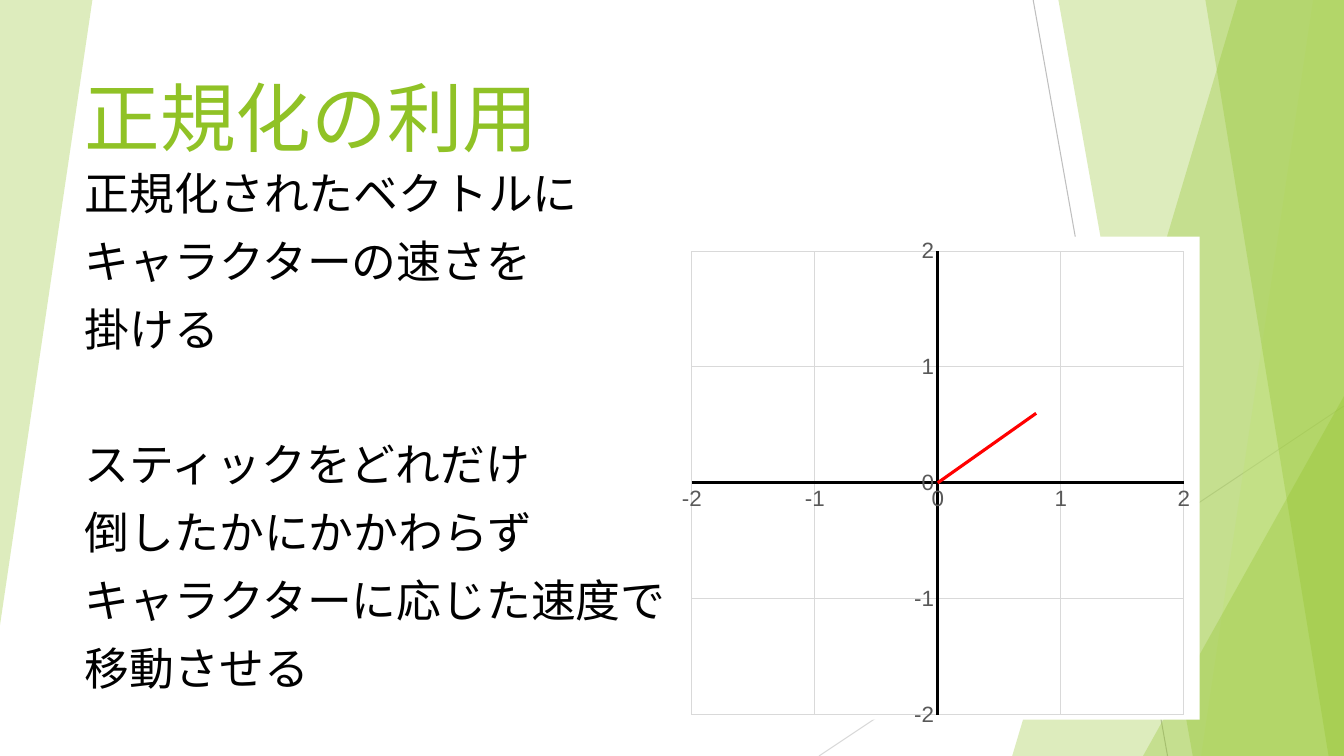
from lxml.etree import SubElement
from pptx import Presentation
from pptx.chart.data import XyChartData
from pptx.dml.color import RGBColor
from pptx.enum.chart import XL_CHART_TYPE, XL_MARKER_STYLE, XL_TICK_MARK
from pptx.enum.shapes import MSO_CONNECTOR, MSO_SHAPE
from pptx.oxml import parse_xml
from pptx.oxml.ns import nsdecls, qn
from pptx.util import Pt

FONT = "Arial"
WIDE, HIGH = 960, 540
HEX = {
    "green": "90C226", "lime": "C0E474", "black": "000000", "white": "FFFFFF",
    "gray": "595959", "grid": "D9D9D9", "rule": "BFBFBF", "red": "FF0000",
}
PANES = [
    ("green", [(884, 0), (WIDE, 0), (WIDE, HIGH), (723, HIGH)]),
    ("green", [(756, 0), (WIDE, 0), (WIDE, HIGH), (852, HIGH)]),
    ("lime", [(938, 0), (WIDE, 0), (WIDE, HIGH), (858, HIGH)]),
    ("green", [(861, 0), (WIDE, 0), (WIDE, HIGH), (949, HIGH)]),
]
BODY = [
    ["正規化されたベクトルに", "キャラクターの速さを", "掛ける"],
    ["スティックをどれだけ", "倒したかにかかわらず", "キャラクターに応じた速度で", "移動させる"],
]


def rgb(name):
    return RGBColor.from_string(HEX[name])


def add_text(slide, box, groups, size, color, gap=0, pitch=None, skip=0):
    frame = slide.shapes.add_textbox(*map(Pt, box)).text_frame
    frame.word_wrap = True
    para = frame.paragraphs[0]
    for i, group in enumerate(groups):
        for j, line in enumerate(group):
            if i or j:
                para = frame.add_paragraph()
                para.space_before = Pt(gap if j else skip)
            if pitch:
                para.line_spacing = Pt(pitch)
            run = para.add_run()
            run.text = line
            run.font.size = Pt(size)
            run.font.name = FONT
            run.font.color.rgb = rgb(color)


def add_line(slide, start, end, color):
    line = slide.shapes.add_connector(MSO_CONNECTOR.STRAIGHT, *map(Pt, start + end))
    line.line.color.rgb = rgb(color)
    line.line.width = Pt(0.75)
    SubElement(line._element.spPr, qn("a:effectLst"))


def tint(shape, color):
    shape.shadow.inherit = False
    shape.fill.solid()
    shape.fill.fore_color.rgb = rgb(color)
    shape.line.fill.background()
    tone = shape._element.spPr.find(qn("a:solidFill"))[0]
    SubElement(tone, qn("a:alpha"), val="30000")


def add_pane(slide, color, points):
    spots = [(Pt(x), Pt(y)) for x, y in points]
    build = slide.shapes.build_freeform(*spots[0])
    build.add_line_segments(spots[1:], close=True)
    tint(build.convert_to_shape(), color)


def add_wedge(slide, box, turn=0):
    wedge = slide.shapes.add_shape(MSO_SHAPE.ISOSCELES_TRIANGLE, *map(Pt, box))
    wedge.adjustments[0] = 1
    wedge.rotation = turn
    tint(wedge, "green")


def style_axis(axis):
    axis.minimum_scale, axis.maximum_scale, axis.major_unit = -2, 2, 1
    axis.major_tick_mark = axis.minor_tick_mark = XL_TICK_MARK.NONE
    axis.has_major_gridlines = True
    axis.major_gridlines.format.line.color.rgb = rgb("grid")
    axis.major_gridlines.format.line.width = Pt(0.75)
    axis.format.line.color.rgb = rgb("black")
    axis.format.line.width = Pt(2)
    font = axis.tick_labels.font
    font.size, font.name = Pt(16), FONT
    font.color.rgb = rgb("gray")
    axis.tick_labels.number_format = "General"
    axis.tick_labels.number_format_is_linked = False


def set_plot(chart, **sides):
    area = chart._chartSpace.chart.plotArea
    for old in area.findall(qn("c:layout")):
        area.remove(old)
    parts = "".join(f'<c:{key} val="{val}"/>' for key, val in sides.items())
    area.insert(0, parse_xml(
        f'<c:layout {nsdecls("c")}><c:manualLayout><c:layoutTarget val="inner"/>'
        f'<c:xMode val="edge"/><c:yMode val="edge"/>{parts}</c:manualLayout></c:layout>'))


def add_graph(slide, box):
    data = XyChartData()
    row = data.add_series("Series 1")
    for x, y in [(0, 0), (0.4, 0.3), (0.8, 0.6)]:
        row.add_data_point(x, y)
    chart = slide.shapes.add_chart(
        XL_CHART_TYPE.XY_SCATTER_LINES, *map(Pt, box), data).chart
    chart.has_legend = chart.has_title = False
    chart.font.size, chart.font.name = Pt(10), FONT
    chart.font.color.rgb = rgb("black")
    chart._chartSpace.find(qn("c:txPr")).addprevious(parse_xml(
        f'<c:spPr {nsdecls("c", "a")}><a:solidFill><a:srgbClr val="{HEX["white"]}"/>'
        '</a:solidFill><a:ln><a:noFill/></a:ln></c:spPr>'))
    set_plot(chart, x=0.04, y=0.03, w=0.93, h=0.96)
    for axis in (chart.category_axis, chart.value_axis):
        style_axis(axis)
    chart.plots[0].vary_by_categories = False
    line = chart.plots[0].series[0]
    line.smooth = False
    line.marker.style = XL_MARKER_STYLE.NONE
    line.format.line.color.rgb = rgb("red")
    line.format.line.width = Pt(2.25)


def main():
    deck = Presentation()
    deck.slide_width, deck.slide_height = Pt(WIDE), Pt(HIGH)
    slide = deck.slides.add_slide(deck.slide_layouts[6])
    add_line(slide, (738, 0), (834, HIGH), "rule")
    add_line(slide, (WIDE, 290), (585, HIGH), "grid")
    for color, points in PANES:
        add_pane(slide, color, points)
    add_wedge(slide, (816.5, 283, 143.5, 257))
    add_wedge(slide, (0, 0, 66, 446.5), turn=180)
    add_text(slide, (53.5, 48, 850, 52), [["正規化の利用"]], 54, "green", pitch=64)
    add_text(slide, (53.5, 115, 850, 406), BODY, 32, "black", gap=10, pitch=38.4, skip=58.4)
    add_graph(slide, (479, 169, 378, 350))
    deck.save("out.pptx")


if __name__ == "__main__":
    main()
